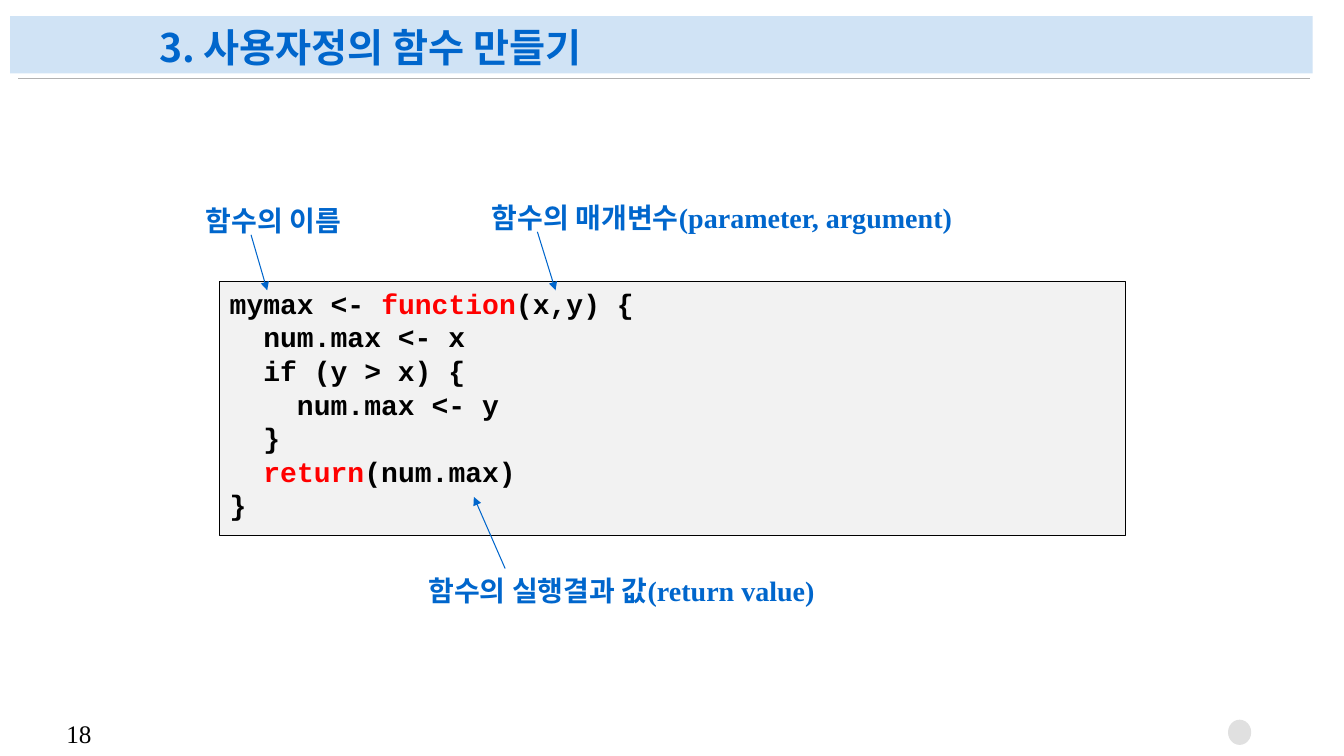
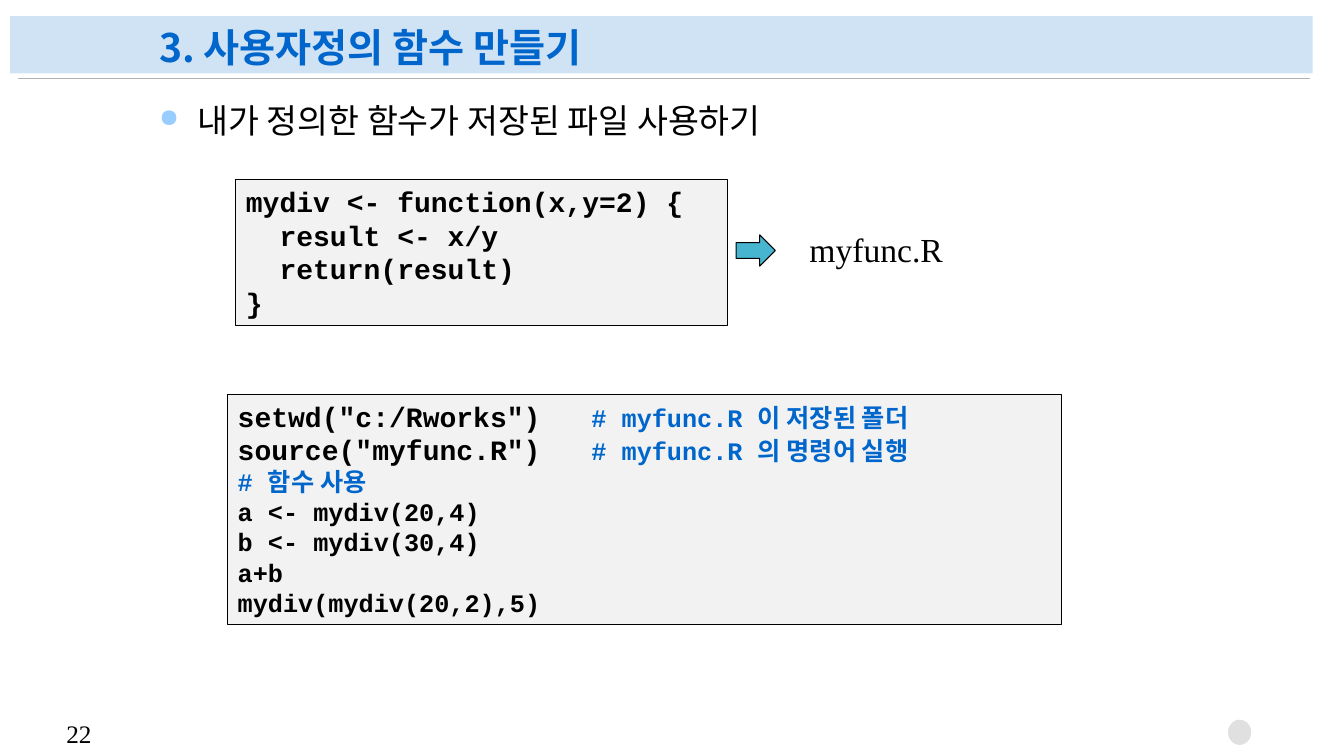
from pptx import Presentation
from pptx import util as u
from pptx.dml.color import RGBColor
from pptx.enum import shapes, text
from pptx.oxml import parse_xml
from pptx.oxml.ns import nsdecls, qn

Inches, Pt = u.Inches, u.Pt
BLACK = RGBColor(0x00, 0x00, 0x00)
BLUE = RGBColor(0x00, 0x66, 0xCC)
RED = RGBColor(0xFF, 0x00, 0x00)
BAND = RGBColor(0xD0, 0xE3, 0xF5)
RULE = RGBColor(0xB2, 0xB2, 0xB2)
PANEL = RGBColor(0xF2, 0xF2, 0xF2)
DOT = RGBColor(0xE0, 0xE0, 0xE0)
TEAL = RGBColor(0x47, 0xB5, 0xCF)
SANS, SERIF, MONO = "Noto Sans CJK KR", "Times New Roman", "Courier New"
BOX, OVAL, ARROW = (shapes.MSO_SHAPE.RECTANGLE, shapes.MSO_SHAPE.OVAL,
                    shapes.MSO_SHAPE.RIGHT_ARROW)
TITLE = "3. 사용자정의 함수 만들기"


def add_block(slide, at, fill=None, outline=False, kind=BOX, lines=(),
              font=SERIF, size=20, color=BLACK, bold=False):
    place = [Inches(n) for n in at]
    if fill is None:
        block = slide.shapes.add_textbox(*place)
    else:
        block = slide.shapes.add_shape(kind, *place)
        block.shadow.inherit = False
        block.fill.solid()
        block.fill.fore_color.rgb = fill
        if outline:
            block.line.color.rgb = BLACK
            block.line.width = Pt(0.75)
        else:
            block.line.fill.background()
    frame = block.text_frame
    frame.word_wrap = True
    frame.vertical_anchor = text.MSO_ANCHOR.TOP
    for number, line in enumerate(lines):
        paragraph = frame.paragraphs[0] if number == 0 else frame.add_paragraph()
        paragraph.alignment = text.PP_ALIGN.LEFT
        for part in [line] if isinstance(line, str) else line:
            words, tint, points = (part, color, size) if isinstance(part, str) else part
            run = paragraph.add_run()
            run.text = words
            run.font.name = font
            run.font.size = Pt(points)
            run.font.bold = bold
            run.font.color.rgb = tint
            run.font._element.find(qn("a:latin")).addnext(
                parse_xml(f'<a:ea {nsdecls("a")} typeface="{SANS}"/>'))
    return block


def add_line(slide, start, end, color, width, arrow=False):
    line = slide.shapes.add_connector(
        shapes.MSO_CONNECTOR.STRAIGHT, *[Inches(n) for n in start + end])
    line.line.color.rgb = color
    line.line.width = Pt(width)
    if arrow:
        line.line._get_or_add_ln().append(
            parse_xml(f'<a:tailEnd {nsdecls("a")} type="triangle"/>'))
    line._element.spPr.append(parse_xml(f'<a:effectLst {nsdecls("a")}/>'))


deck = Presentation()
deck.slide_width, deck.slide_height = Inches(13.33), Inches(7.5)

pages = []
for page_number in ("18", "22"):
    page = deck.slides.add_slide(deck.slide_layouts[6])
    add_block(page, (0.1, 0.16, 12.92, 0.57), BAND)
    add_line(page, (12.99, 0.78), (0.18, 0.78), RULE, 0.5)
    add_block(page, (0.56, 7.08, 0.5, 0.4), lines=[page_number], size=18)
    heading = add_block(page, (1.48, 0.17, 10.06, 0.58), lines=[TITLE],
                        font=SANS, size=28, color=BLUE, bold=True)
    heading.text_frame.vertical_anchor = text.MSO_ANCHOR.BOTTOM
    heading.text_frame.paragraphs[0].line_spacing = 0.9
    add_block(page, (12.18, 7.14, 0.23, 0.25), DOT, kind=OVAL)
    pages.append(page)
anatomy, usage = pages

mymax_code = [
    ["mymax <- ", ("function", RED, 20), "(x,y) {"],
    "  num.max <- x",
    "  if (y > x) {",
    "    num.max <- y",
    "  }",
    ["  ", ("return", RED, 20), "(num.max)"],
    "}",
]
add_block(anatomy, (2.18, 2.79, 8.98, 2.52), PANEL, True,
          lines=mymax_code, font=MONO, bold=True)

callouts = [
    ("함수의 이름", (1.94, 1.97, 1.67, 0.44), (2.49, 2.33), (2.65, 2.88)),
    ("함수의 매개변수(parameter, argument)", (4.78, 1.94, 4.93, 0.44),
     (5.33, 2.3), (5.51, 2.88)),
    ("함수의 실행결과 값(return value)", (4.15, 5.64, 4.21, 0.44),
     (5.01, 5.64), (4.7, 4.93)),
]
for label, at, start, end in callouts:
    add_line(anatomy, start, end, BLUE, 0.75, arrow=True)
    add_block(anatomy, at, lines=[label], color=BLUE, bold=True)

topic = add_block(usage, (1.48, 0.94, 10.06, 0.6), font=SANS, size=24,
                  lines=["내가 정의한 함수가 저장된 파일 사용하기"])
topic_line = topic.text_frame.paragraphs[0]
topic_line.space_before = Pt(4.8)
bullet = topic_line._p.get_or_add_pPr()
bullet.set("marL", str(Inches(0.38)))
bullet.set("indent", str(-Inches(0.38)))
for markup in (f'<a:buClr {nsdecls("a")}><a:srgbClr val="99CCFF"/></a:buClr>',
               f'<a:buSzPct {nsdecls("a")} val="75000"/>',
               f'<a:buChar {nsdecls("a")} char="●"/>'):
    bullet.append(parse_xml(markup))

mydiv_code = ["mydiv <- function(x,y=2) {", "  result <- x/y",
              "  return(result)", "}"]
add_block(usage, (2.34, 1.78, 4.88, 1.45), PANEL, True,
          lines=mydiv_code, font=MONO, bold=True)
add_block(usage, (7.3, 2.33, 0.39, 0.31), TEAL, True, ARROW)
add_block(usage, (7.93, 2.22, 1.62, 0.5), lines=["myfunc.R"], size=24)

session_code = [
    [('setwd("c:/Rworks")   ', BLACK, 20), ("# myfunc.R 이 저장된 폴더", BLUE, 18)],
    [('source("myfunc.R")   ', BLACK, 20), ("# myfunc.R 의 명령어 실행", BLUE, 18)],
    [("# 함수 사용", BLUE, 18)],
    "a <- mydiv(20,4)",
    "b <- mydiv(30,4)",
    "a+b",
    "mydiv(mydiv(20,2),5)",
]
add_block(usage, (2.26, 3.91, 8.27, 2.29), PANEL, True,
          lines=session_code, font=MONO, size=18, bold=True)

deck.save("out.pptx")
